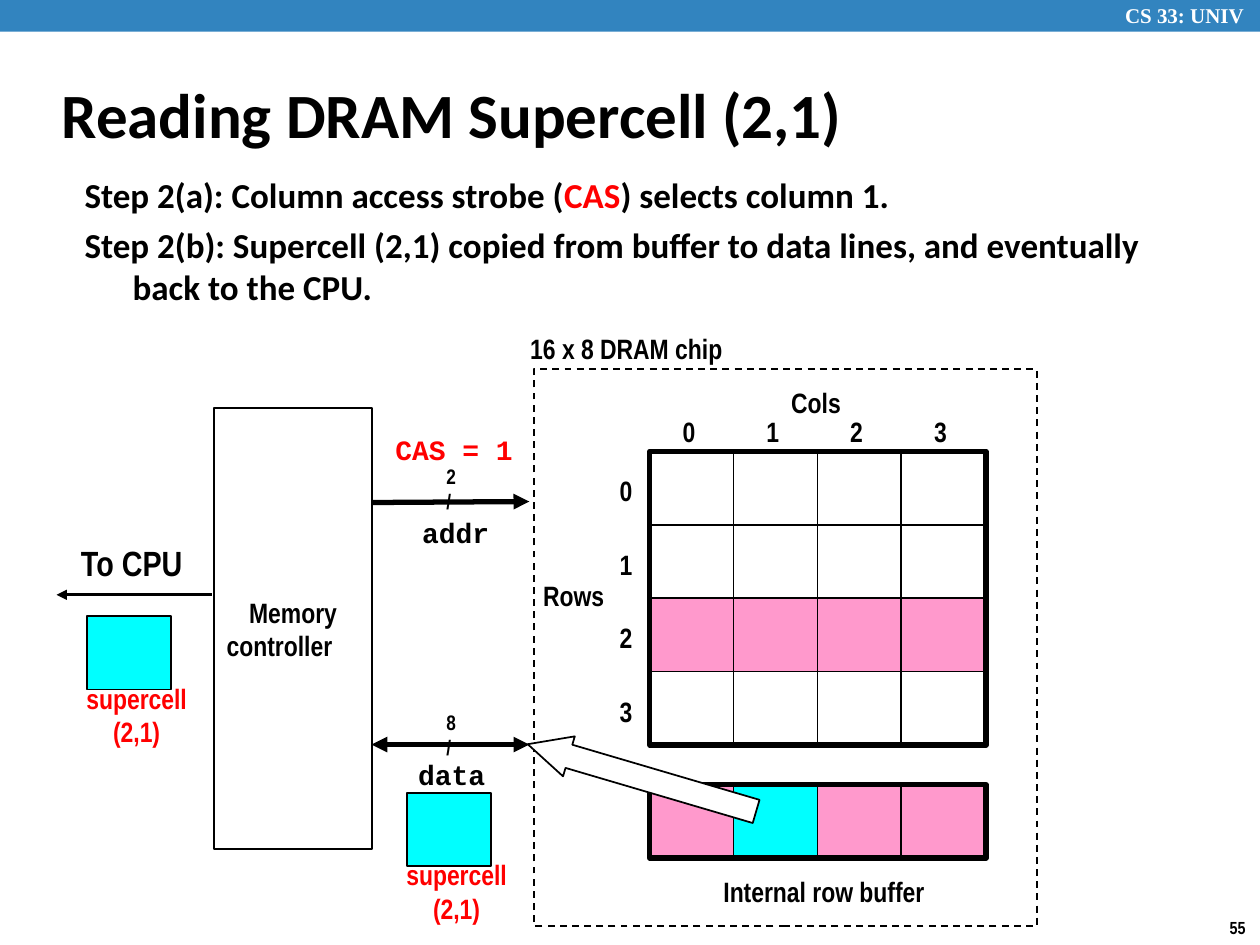
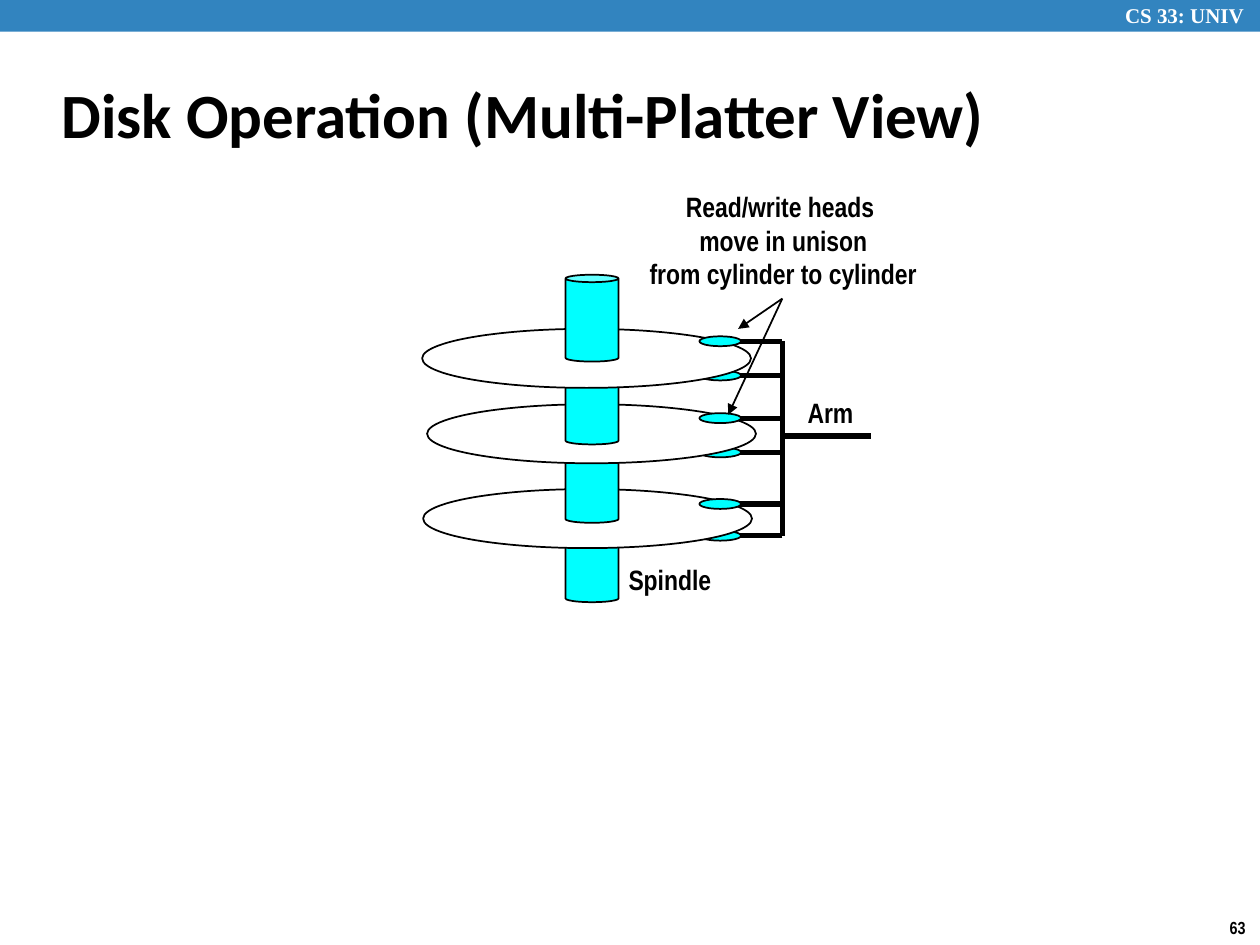
from dataclasses import dataclass

from lxml import etree
from pptx import Presentation
from pptx import util as u
from pptx.dml.color import RGBColor
from pptx.enum import dml, shapes, text as t
from pptx.oxml.ns import qn


@dataclass(frozen=True)
class Theme:
    black: str = "000000"
    white: str = "FFFFFF"
    band: str = "3284BF"
    red: str = "FF0000"
    pink: str = "FF99CC"
    cyan: str = "00FFFF"
    heading: str = "Calibri"
    label: str = "Arial Narrow"
    code: str = "Courier New"
    serif: str = "Times New Roman"
    title_size: int = 36
    body_size: int = 20
    label_size: int = 16
    small_size: int = 12
    number_size: int = 10
    thin: float = 1
    medium: float = 1.5
    thick: float = 3


th = Theme()
LEFT, CENTER = t.PP_ALIGN.LEFT, t.PP_ALIGN.CENTER
MIDDLE, TOP = t.MSO_ANCHOR.MIDDLE, t.MSO_ANCHOR.TOP
RECT, OVAL = shapes.MSO_SHAPE.RECTANGLE, shapes.MSO_SHAPE.OVAL
CAN, ARROW = shapes.MSO_SHAPE.CAN, shapes.MSO_SHAPE.DOWN_ARROW


def put(s, box, text="", kind=None, sp=None, fill=None, line=None, dash=False,
        font=th.label, size=th.label_size, color=th.black, align=LEFT,
        anchor=MIDDLE, wrap=False, hang=0, before=0, mark=None):
    box = [u.Cm(v) for v in box]
    if sp is not None:
        sp.left, sp.top, sp.width, sp.height = box
    elif kind is None:
        sp = s.shapes.add_textbox(*box)
    else:
        sp = s.shapes.add_shape(kind, *box)
        sp.shadow.inherit = False
        if fill:
            sp.fill.solid()
            sp.fill.fore_color.rgb = RGBColor.from_string(fill)
        else:
            sp.fill.background()
        if line:
            sp.line.color.rgb = RGBColor.from_string(th.black)
            sp.line.width = u.Pt(line)
            if dash:
                sp.line.dash_style = dml.MSO_LINE.DASH
        else:
            sp.line.fill.background()
    if not text:
        return sp
    tf = sp.text_frame
    tf.word_wrap = wrap
    tf.vertical_anchor = anchor
    floating = kind is None and not sp.is_placeholder
    tf.auto_size = t.MSO_AUTO_SIZE.SHAPE_TO_FIT_TEXT if floating else t.MSO_AUTO_SIZE.NONE
    for i, row in enumerate(text.split("\n")):
        p = tf.paragraphs[0] if i == 0 else tf.add_paragraph()
        p.alignment = align
        p.space_before = u.Pt(before)
        if hang:
            pPr = p._p.get_or_add_pPr()
            pPr.set("marL", str(u.Cm(hang)))
            pPr.set("indent", str(-u.Cm(hang)))
            etree.SubElement(pPr, qn("a:buNone"))
        for part in filter(None, row.partition(mark) if mark else [row]):
            r = p.add_run()
            r.text = part
            r.font.name, r.font.size, r.font.bold = font, u.Pt(size), True
            r.font.color.rgb = RGBColor.from_string(th.red if part == mark else color)
    return sp


def connect(s, x1, y1, x2, y2, width=th.thick, ends=()):
    c = s.shapes.add_connector(shapes.MSO_CONNECTOR.STRAIGHT,
                               u.Cm(x1), u.Cm(y1), u.Cm(x2), u.Cm(y2))
    c.line.color.rgb = RGBColor.from_string(th.black)
    c.line.width = u.Pt(width)
    for end in ends:
        etree.SubElement(c.line._get_or_add_ln(), qn(f"a:{end}")).set("type", "triangle")
    etree.SubElement(c._element.spPr, qn("a:effectLst"))


prs = Presentation()
prs.slide_width, prs.slide_height = u.Cm(25.4), u.Cm(19.05)

slides = []
for layout, title, number in [(1, "Reading DRAM Supercell (2,1)", "55"),
                              (5, "Disk Operation (Multi-Platter View)", "63")]:
    s = prs.slides.add_slide(prs.slide_layouts[layout])
    put(s, (0, 0, 25.4, 0.64), kind=RECT, fill=th.band)
    put(s, (22.43, -0.08, 3.15, 0.76), "CS 33: UNIV", font=th.serif,
        size=th.small_size, color=th.white, anchor=TOP, wrap=True)
    put(s, (24.54, 18.36, 0.86, 0.69), number, size=th.number_size, anchor=TOP)
    put(s, (0.99, 1.22, 21.08, 2.11), title, sp=s.shapes.title, font=th.heading,
        size=th.title_size, wrap=True, hang=0.33)
    slides.append(s)
dram, disk = slides

s = dram
put(s, (1.45, 3.38, 22.48, 2.97),
    "Step 2(a): Column access strobe (CAS) selects column 1.\n"
    "Step 2(b): Supercell (2,1) copied from buffer to data lines, "
    "and eventually back to the CPU.",
    sp=s.placeholders[1], font=th.heading, size=th.body_size, anchor=TOP,
    wrap=True, hang=0.97, before=4, mark="CAS")

cell_w, cell_h, pitch = 1.7, 1.48, 1.69
grid_x, grid_y, buffer_y = 13.1, 9.1, 15.82
for i in range(4):
    put(s, (13.51 + i * pitch, 8.22, 0.81, 0.94), str(i))
    put(s, (12.24, 9.42 + i * cell_h, 0.81, 0.94), str(i))
    for col in range(4):
        put(s, (grid_x + col * pitch, grid_y + i * cell_h, cell_w, cell_h), kind=RECT,
            fill=th.pink if i == 2 else th.white, line=th.thin)
    put(s, (grid_x + i * pitch, buffer_y, cell_w, cell_h), kind=RECT,
        fill=th.cyan if i == 1 else th.pink, line=th.thin)
for y, h in [(grid_y, 4 * cell_h), (buffer_y, cell_h)]:
    put(s, (grid_x, y, 6.78, h), kind=RECT, line=th.thick)
put(s, (10.77, 7.44, 10.13, 11.23), kind=RECT, line=th.thin, dash=True)

put(s, (15.7, 7.65, 1.52, 0.94), "Cols")
put(s, (10.69, 11.53, 1.75, 0.94), "Rows", align=CENTER)
put(s, (14.3, 17.5, 4.62, 0.94), "Internal row buffer", align=CENTER)
put(s, (10.44, 6.55, 5.26, 0.94), "16 x 8 DRAM chip")
put(s, (7.72, 8.59, 2.9, 0.94), "CAS = 1", font=th.code, color=th.red)
put(s, (8.26, 10.26, 1.88, 0.94), "addr", font=th.code)
put(s, (8.18, 15.14, 1.88, 0.94), "data", font=th.code)
connect(s, 7.49, 10.13, 10.67, 10.11, ends=["tailEnd"])
connect(s, 7.49, 15.01, 10.67, 15.01, ends=["headEnd", "tailEnd"])
for bits, y in [("2", 9.22), ("8", 14.17)]:
    put(s, (8.75, y, 0.74, 1.27), bits + "\n/", size=th.small_size, anchor=TOP)

controller = put(s, (4.32, 8.23, 3.18, 8.89), "Memory\ncontroller", kind=RECT,
                 fill=th.white, line=th.thin, wrap=True)
controller.text_frame.paragraphs[0].alignment = CENTER

arrow = put(s, (12.52, 13.28, 0.84, 4.8), kind=ARROW, fill=th.white, line=th.thin)
arrow.rotation = 106.4
arrow.adjustments[0], arrow.adjustments[1] = 0.58, 1.03

for x, y in [(7.92, 17.17), (1.47, 13.61)]:
    put(s, (x, y, 2.57, 1.63), "supercell \n(2,1)", color=th.red, align=CENTER, anchor=TOP)
    put(s, (x + 0.28, y - 1.19, cell_w, cell_h), kind=RECT, fill=th.cyan, line=th.thin)
connect(s, 4.27, 11.99, 1.14, 11.99, width=th.medium, ends=["tailEnd"])
to_cpu = put(s, (1.5, 10.8, 2.31, 1.12), "To CPU", size=th.body_size, anchor=TOP)
to_cpu.text_frame.margin_left = to_cpu.text_frame.margin_right = u.Cm(0.13)

s = disk
arm_x, spindle_x = 15.77, 11.4
platters = [(8.53, 9.86, 10.39, 10.16, 10.8),
            (8.61, 8.15, 8.79, 8.43, 9.12),
            (8.51, 6.63, 7.21, 6.88, 7.57)]
spindle = dict(kind=CAN, fill=th.cyan, line=th.thin)
head = dict(kind=OVAL, fill=th.cyan, line=th.thin)
cans = []
for *_, lower_y in platters:
    connect(s, arm_x, lower_y, 14.5, lower_y)
    put(s, (14.1, lower_y - 0.1, 0.84, 0.2), **head)
for x, y, can_y, upper_y, _ in platters:
    cans.append(put(s, (spindle_x, can_y, 1.07, 1.75), **spindle))
    put(s, (x, y, 6.63, 1.19), kind=OVAL, fill=th.white, line=th.thin)
    connect(s, arm_x, upper_y, 14.5, upper_y)
    put(s, (14.1, upper_y - 0.1, 0.84, 0.2), **head)
cans.append(put(s, (spindle_x, 5.54, 1.07, 1.75), **spindle))
for can in cans:
    can.adjustments[0] = 0.14

connect(s, arm_x, 6.88, arm_x, 10.8)
connect(s, arm_x, 8.79, 17.55, 8.79)
put(s, (16.03, 7.85, 1.45, 0.94), "Arm")
put(s, (12.73, 3.68, 6.12, 2.31),
    "Read/write heads \nmove in unison\nfrom cylinder to cylinder", align=CENTER, wrap=True)
put(s, (12.4, 11.2, 2.21, 0.94), "Spindle", align=CENTER)
for x, y in [(14.88, 6.63), (14.68, 8.36)]:
    connect(s, arm_x, 6.02, x, y, width=th.thin, ends=["tailEnd"])

prs.save("out.pptx")
